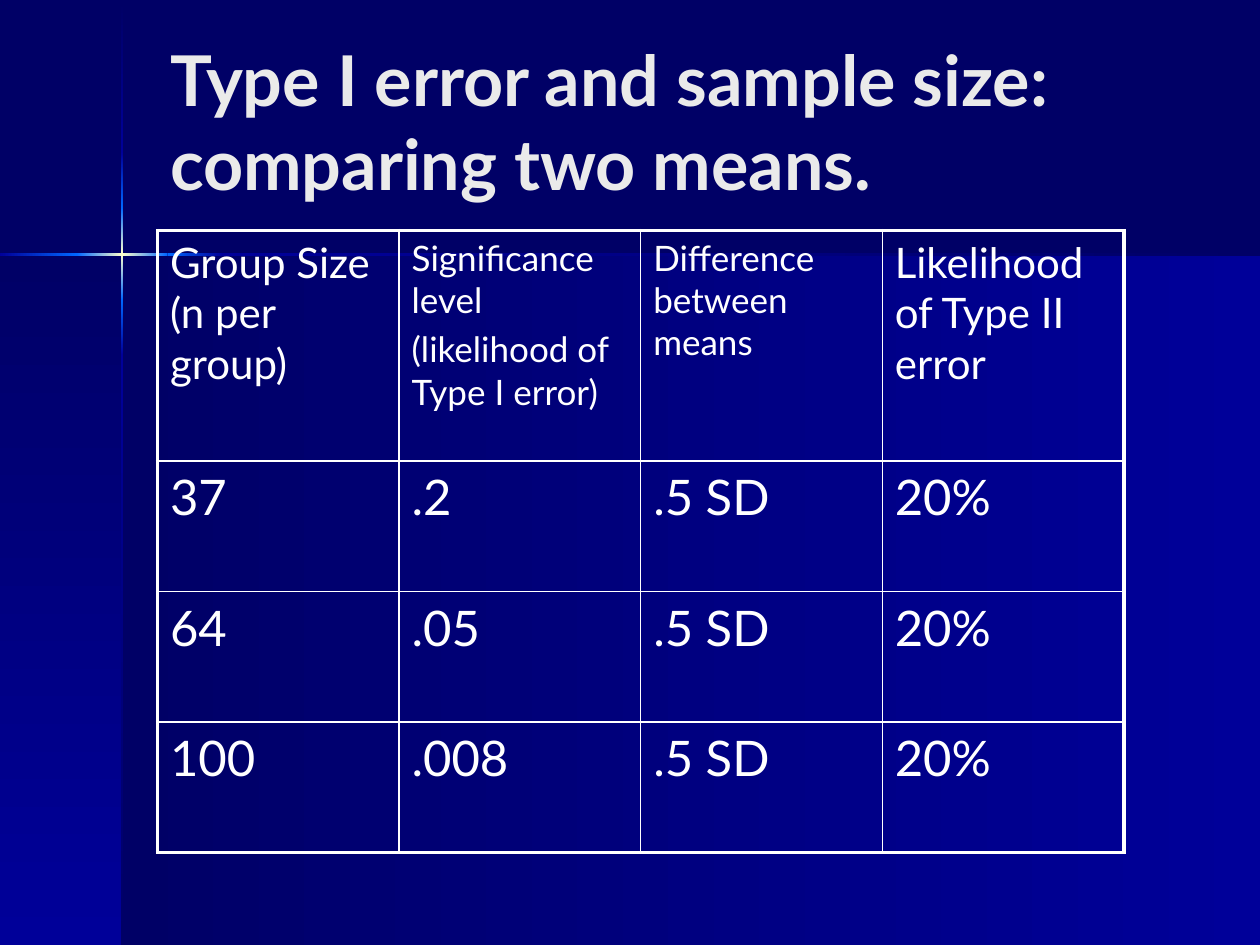
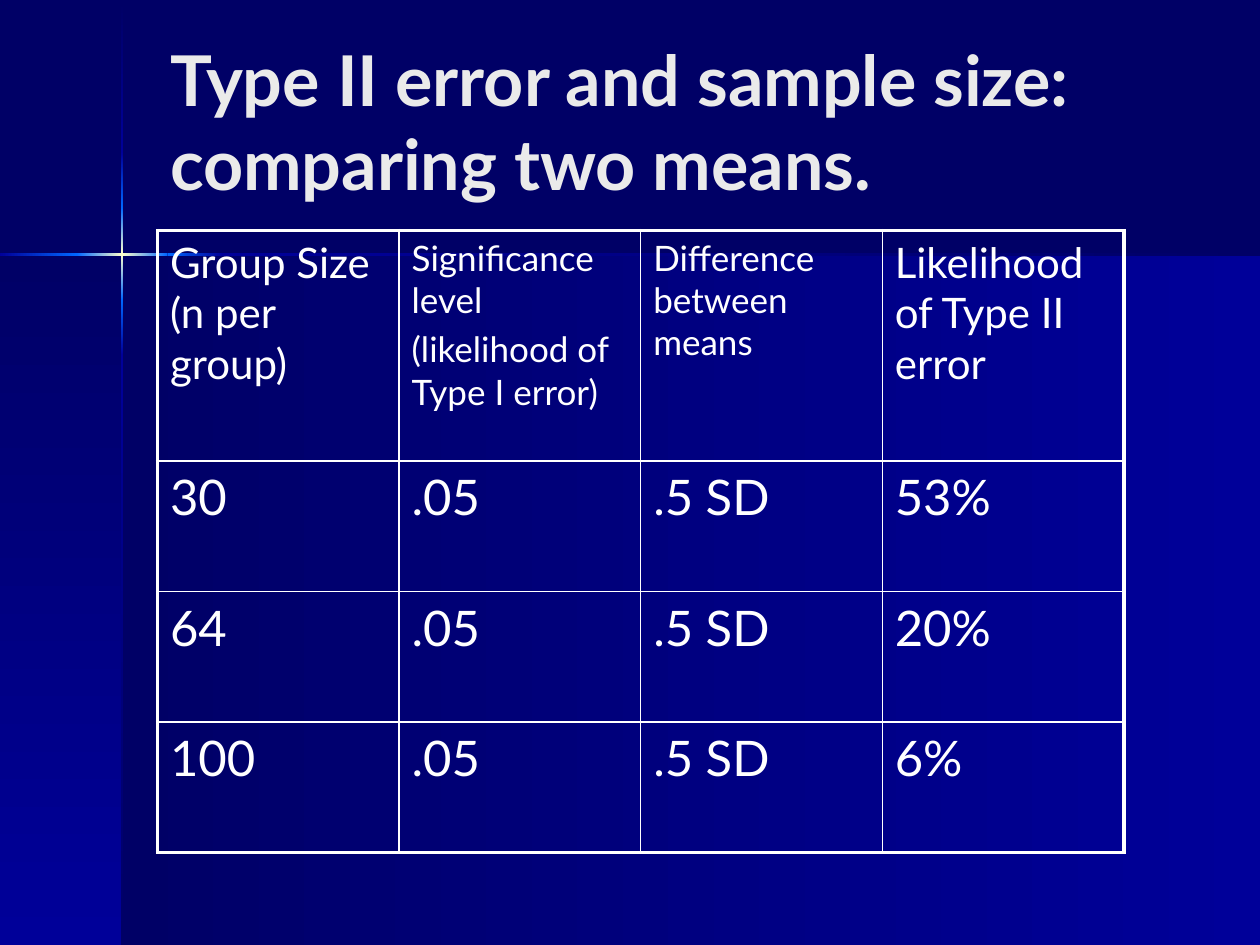
from itertools import pairwise

from lxml.etree import SubElement
from pptx import Presentation
from pptx.dml.color import RGBColor
from pptx.enum.shapes import MSO_SHAPE
from pptx.enum.text import MSO_ANCHOR, MSO_AUTO_SIZE, PP_ALIGN
from pptx.oxml.ns import qn
from pptx.util import Inches, Pt

NAVY = RGBColor(0x00, 0x00, 0x66)
BLUE = RGBColor(0x00, 0x00, 0x99)
BRIGHT = RGBColor(0x00, 0x66, 0xFF)
CREAM = RGBColor(0xFF, 0xFF, 0xCC)
WHITE = RGBColor(0xFF, 0xFF, 0xFF)
TITLE_GREY = RGBColor(0xEA, 0xEA, 0xEA)

SLIDE_WIDTH, SLIDE_HEIGHT = Inches(10), Inches(7.5)
COLUMNS, ROWS = 1000, 750
CROSS_COLUMN, CROSS_ROW = 97, 202
RIGHT, DOWN = 0, 90
TITLE_ONLY = 5

TITLE_BOX = (125, 17, 825, 157)
TABLE_LEFT, TABLE_TOP, TABLE_WIDTH = 125, 183, 767
HEADER_HEIGHT, ROW_HEIGHT = 183, 103.5
OUTER_LINE, INNER_LINE = Pt(2.25), Pt(1)

TITLE_FONT = {"name": "Lato", "size": Pt(40), "bold": True}
CELL_FONT = {"name": "Lato", "bold": False}
BODY_SIZE = 28
HEADERS = [
    ("Group Size (n per group)", 24),
    ("Significance level\n(likelihood of Type I error)", 20),
    ("Difference between means", 20),
    ("Likelihood of Type II error", 24),
]
RAY_COLOURS = [
    (NAVY, BLUE),
    (BLUE, BRIGHT),
    (BRIGHT, CREAM, BRIGHT),
    (BRIGHT, BLUE),
    (BLUE, NAVY),
]
VERTICAL_STOPS = [1, 121, 165, 238, 282, ROWS]
HORIZONTAL_STOPS = [0, 61, 133, 177, COLUMNS]

SLIDES = [
    (
        "Type I error and sample size: comparing two means.",
        [
            ("37", ".2", ".5 SD", "20%"),
            ("64", ".05", ".5 SD", "20%"),
            ("100", ".008", ".5 SD", "20%"),
        ],
    ),
    (
        "Type II error and sample size: comparing two means.",
        [
            ("30", ".05", ".5 SD", "53%"),
            ("64", ".05", ".5 SD", "20%"),
            ("100", ".05", ".5 SD", "6%"),
        ],
    ),
]


def across(columns):
    """Return the width of a number of grid columns."""
    return round(SLIDE_WIDTH * columns / COLUMNS)


def down(rows):
    """Return the height of a number of grid rows."""
    return round(SLIDE_HEIGHT * rows / ROWS)


def grid_box(left, top, width, height):
    """Convert a box in grid units to slide lengths."""
    return across(left), down(top), across(width), down(height)


def set_attributes(target, values):
    """Set each named value on an object."""
    for name, value in values.items():
        setattr(target, name, value)


def format_font(font, values, colour):
    """Apply format values and a colour to a font."""
    set_attributes(font, values)
    font.color.rgb = colour


def add_band(slide, box, colours, angle):
    """Add a borderless rectangle with an evenly spaced gradient."""
    shape = slide.shapes.add_shape(MSO_SHAPE.RECTANGLE, *grid_box(*box))
    shape.shadow.inherit = False
    shape.line.fill.background()
    shape.fill.gradient()
    shape.fill.gradient_angle = -angle % 360
    stops = shape.element.spPr.find(qn("a:gradFill")).find(qn("a:gsLst"))
    for stop in list(stops):
        stops.remove(stop)
    for index, colour in enumerate(colours):
        position = 100000 * index // (len(colours) - 1)
        stop = SubElement(stops, qn("a:gs"), pos=str(position))
        SubElement(stop, qn("a:srgbClr"), val=str(colour))
    return shape


def add_backdrop(slide):
    """Add the two panels and the glowing cross, and return the bands."""
    height = ROWS - CROSS_ROW
    bands = [
        add_band(slide, (CROSS_COLUMN, CROSS_ROW, COLUMNS - CROSS_COLUMN, height), (NAVY, BLUE), RIGHT),
        add_band(slide, (0, CROSS_ROW, CROSS_COLUMN, height), (NAVY, BLUE), DOWN),
    ]
    for (start, end), colours in zip(pairwise(VERTICAL_STOPS), RAY_COLOURS):
        bands.append(add_band(slide, (CROSS_COLUMN - 1, start, 2, end - start), colours, DOWN))
    for (start, end), colours in zip(pairwise(HORIZONTAL_STOPS), RAY_COLOURS[1:]):
        bands.append(add_band(slide, (start, CROSS_ROW - 1, end - start, 2), colours, RIGHT))
    return bands


def share_backdrop(slide, layout):
    """Move the backdrop from a slide to the back of its layout."""
    shape_tree = layout.element.cSld.spTree
    for index, band in enumerate(add_backdrop(slide)):
        band.element.nvSpPr.cNvPr.set("id", str(100 + index))
        shape_tree.insert(2 + index, band.element)


def set_title(slide, text):
    """Place and format the title."""
    title = slide.shapes.title
    title.left, title.top, title.width, title.height = grid_box(*TITLE_BOX)
    frame = title.text_frame
    frame.text = text
    set_attributes(frame, {
        "auto_size": MSO_AUTO_SIZE.NONE,
        "vertical_anchor": MSO_ANCHOR.MIDDLE,
        "word_wrap": True,
    })
    paragraph = frame.paragraphs[0]
    paragraph.alignment = PP_ALIGN.LEFT
    format_font(paragraph.runs[0].font, TITLE_FONT, TITLE_GREY)


def set_borders(cell, outer_edges):
    """Draw white cell borders, thicker on the outer edges."""
    properties = cell._tc.get_or_add_tcPr()
    for edge in "LRTB":
        width = OUTER_LINE if edge in outer_edges else INNER_LINE
        line = SubElement(properties, qn(f"a:ln{edge}"), w=str(width))
        fill = SubElement(line, qn("a:solidFill"))
        SubElement(fill, qn("a:srgbClr"), val=str(WHITE))


def fill_cell(cell, text, size):
    """Write formatted text in a transparent cell."""
    cell.fill.background()
    cell.text = text
    for paragraph in cell.text_frame.paragraphs:
        paragraph.space_before = Pt(0.2 * size)
        format_font(paragraph.runs[0].font, CELL_FONT | {"size": Pt(size)}, WHITE)


def add_error_table(slide, results):
    """Add the table of group sizes and error rates."""
    rows = [HEADERS] + [[(text, BODY_SIZE) for text in result] for result in results]
    heights = [HEADER_HEIGHT] + [ROW_HEIGHT] * len(results)
    box = grid_box(TABLE_LEFT, TABLE_TOP, TABLE_WIDTH, sum(heights))
    table = slide.shapes.add_table(len(rows), len(HEADERS), *box).table
    set_attributes(table, {"first_row": False, "horz_banding": False})
    last_row, last_column = len(rows) - 1, len(HEADERS) - 1
    for row_index, (row, height) in enumerate(zip(rows, heights)):
        table.rows[row_index].height = down(height)
        for column_index, (text, size) in enumerate(row):
            cell = table.cell(row_index, column_index)
            edges = {
                "L": column_index == 0,
                "R": column_index == last_column,
                "T": row_index == 0,
                "B": row_index == last_row,
            }
            set_borders(cell, [edge for edge, outer in edges.items() if outer])
            fill_cell(cell, text, size)


def main():
    """Build and save the presentation."""
    presentation = Presentation()
    set_attributes(presentation, {"slide_width": SLIDE_WIDTH, "slide_height": SLIDE_HEIGHT})
    background = presentation.slide_master.background.fill
    background.solid()
    background.fore_color.rgb = NAVY
    layout = presentation.slide_layouts[TITLE_ONLY]
    for title, results in SLIDES:
        slide = presentation.slides.add_slide(layout)
        set_title(slide, title)
        add_error_table(slide, results)
    share_backdrop(presentation.slides[0], layout)
    presentation.save("out.pptx")


if __name__ == "__main__":
    main()
